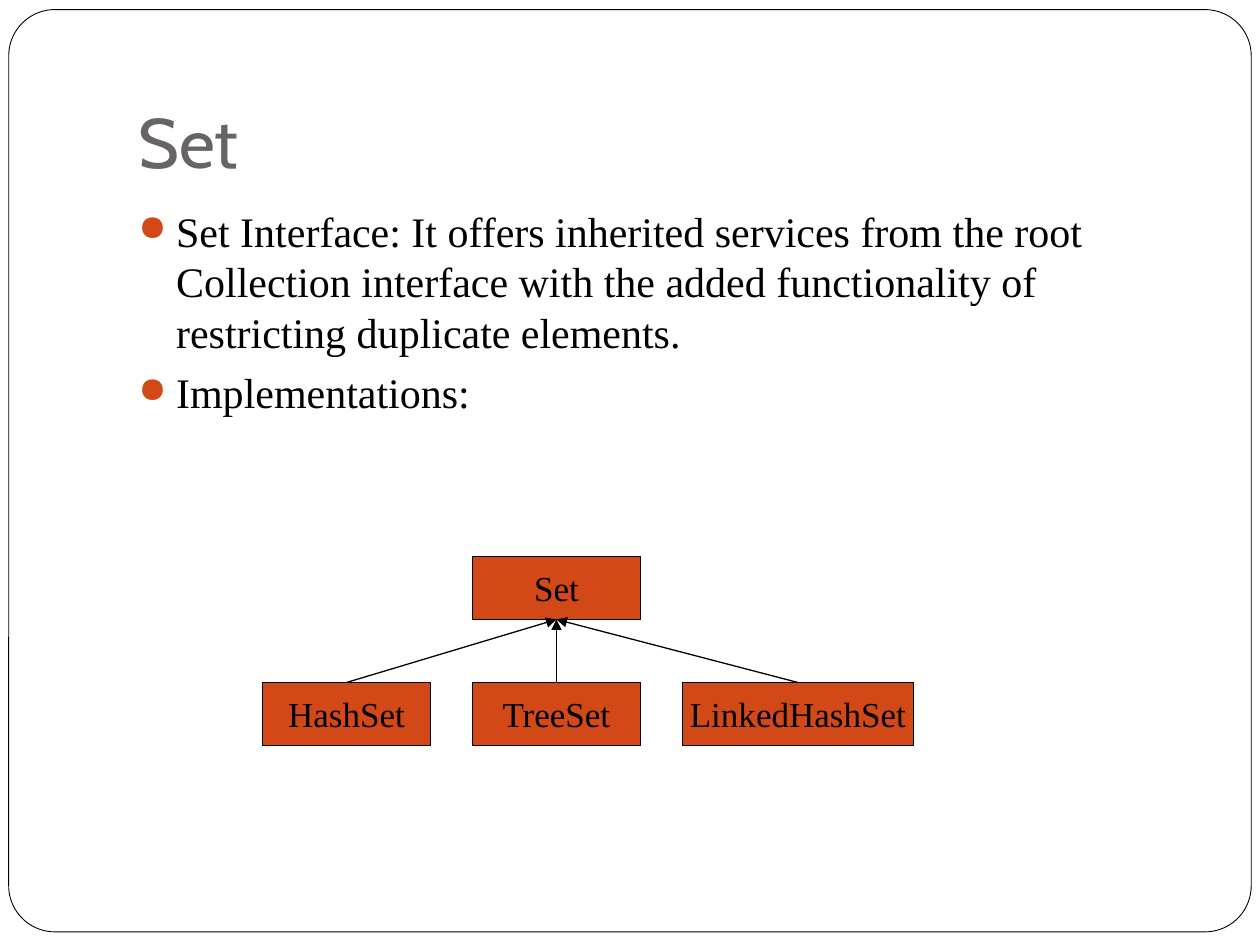
from lxml.etree import SubElement
from pptx import Presentation
from pptx.dml.color import RGBColor
from pptx.enum.shapes import MSO_CONNECTOR, MSO_SHAPE
from pptx.enum.text import MSO_ANCHOR, PP_ALIGN
from pptx.oxml.ns import qn
from pptx.util import Pt

COLORS = {
    "paper": "FFFFFF",
    "ink": "000000",
    "title": "696464",
    "accent": "D34817",
}
BODY_FONT = "Times New Roman"
BULLETS = [
    "Set Interface: It offers inherited services from the root Collection "
    "interface with the added functionality of restricting duplicate elements.",
    "Implementations:",
]
IMPLEMENTATIONS = [("HashSet", 96), ("TreeSet", 96), ("LinkedHashSet", 132)]
ROW_LEFT, ROW_TOP, ROW_GAP = 150, 390, 24
PARENT_LEFT, PARENT_TOP, PARENT_WIDTH = 270, 318, 96
BOX_HEIGHT = 36


def color(name):
    return RGBColor.from_string(COLORS[name])


def style_text(paragraph, size, font_name, color_name):
    for run in paragraph.runs:
        run.font.size = Pt(size)
        run.font.name = font_name
        run.font.color.rgb = color(color_name)


def add_panel(slide, kind, left, top, width, height, fill, line_width):
    shape = slide.shapes.add_shape(kind, Pt(left), Pt(top), Pt(width), Pt(height))
    shape.shadow.inherit = False
    shape.fill.solid()
    shape.fill.fore_color.rgb = color(fill)
    shape.line.color.rgb = color("ink")
    shape.line.width = Pt(line_width)
    return shape


def add_frame(slide):
    frame = add_panel(slide, MSO_SHAPE.ROUNDED_RECTANGLE, 5, 5.5, 710, 527, "paper", 0.5)
    frame.adjustments[0] = 0.05


def add_text_box(slide, left, top, width, height):
    text_box = slide.shapes.add_textbox(Pt(left), Pt(top), Pt(width), Pt(height))
    text_box.text_frame.word_wrap = True
    return text_box.text_frame


def add_title(slide, text):
    text_frame = add_text_box(slide, 72, 21.6, 612, 90)
    text_frame.vertical_anchor = MSO_ANCHOR.BOTTOM
    text_frame.margin_bottom = Pt(7.2)
    text_frame.text = text
    style_text(text_frame.paragraphs[0], 40, "Cabin", "title")


def set_bullet(paragraph):
    properties = paragraph._p.get_or_add_pPr()
    properties.set("marL", str(Pt(21.6)))
    properties.set("indent", str(-Pt(21.6)))
    bullet_color = SubElement(properties, qn("a:buClr"))
    SubElement(bullet_color, qn("a:srgbClr"), val=COLORS["accent"])
    SubElement(properties, qn("a:buSzPct"), val="85000")
    SubElement(properties, qn("a:buChar"), char="●")


def add_bullets(slide, items):
    text_frame = add_text_box(slide, 72, 113.76, 612, 360)
    text_frame.text = "\n".join(items)
    for paragraph in text_frame.paragraphs:
        paragraph.space_before = Pt(5.8)
        set_bullet(paragraph)
        style_text(paragraph, 24, BODY_FONT, "ink")


def add_class_box(slide, name, left, top, width):
    box = add_panel(slide, MSO_SHAPE.RECTANGLE, left, top, width, BOX_HEIGHT, "accent", 0.75)
    text_frame = box.text_frame
    text_frame.word_wrap = False
    text_frame.vertical_anchor = MSO_ANCHOR.MIDDLE
    text_frame.text = name
    paragraph = text_frame.paragraphs[0]
    paragraph.alignment = PP_ALIGN.CENTER
    style_text(paragraph, 20, BODY_FONT, "ink")
    return box


def add_arrow(slide, child, parent):
    connector = slide.shapes.add_connector(MSO_CONNECTOR.STRAIGHT, 0, 0, 0, 0)
    connector.begin_connect(child, 0)
    connector.end_connect(parent, 2)
    connector.line.color.rgb = color("ink")
    connector.line.width = Pt(0.75)
    SubElement(connector.line._get_or_add_ln(), qn("a:tailEnd"), type="triangle")
    SubElement(connector._element.spPr, qn("a:effectLst"))


def add_hierarchy(slide):
    parent = add_class_box(slide, "Set", PARENT_LEFT, PARENT_TOP, PARENT_WIDTH)
    children = []
    left = ROW_LEFT
    for name, width in IMPLEMENTATIONS:
        children.append(add_class_box(slide, name, left, ROW_TOP, width))
        left += width + ROW_GAP
    for child in children:
        add_arrow(slide, child, parent)


def main():
    presentation = Presentation()
    presentation.slide_width = Pt(720)
    presentation.slide_height = Pt(540)
    slide = presentation.slides.add_slide(presentation.slide_layouts[6])
    add_frame(slide)
    add_title(slide, "Set")
    add_bullets(slide, BULLETS)
    add_hierarchy(slide)
    presentation.save("out.pptx")


if __name__ == "__main__":
    main()
